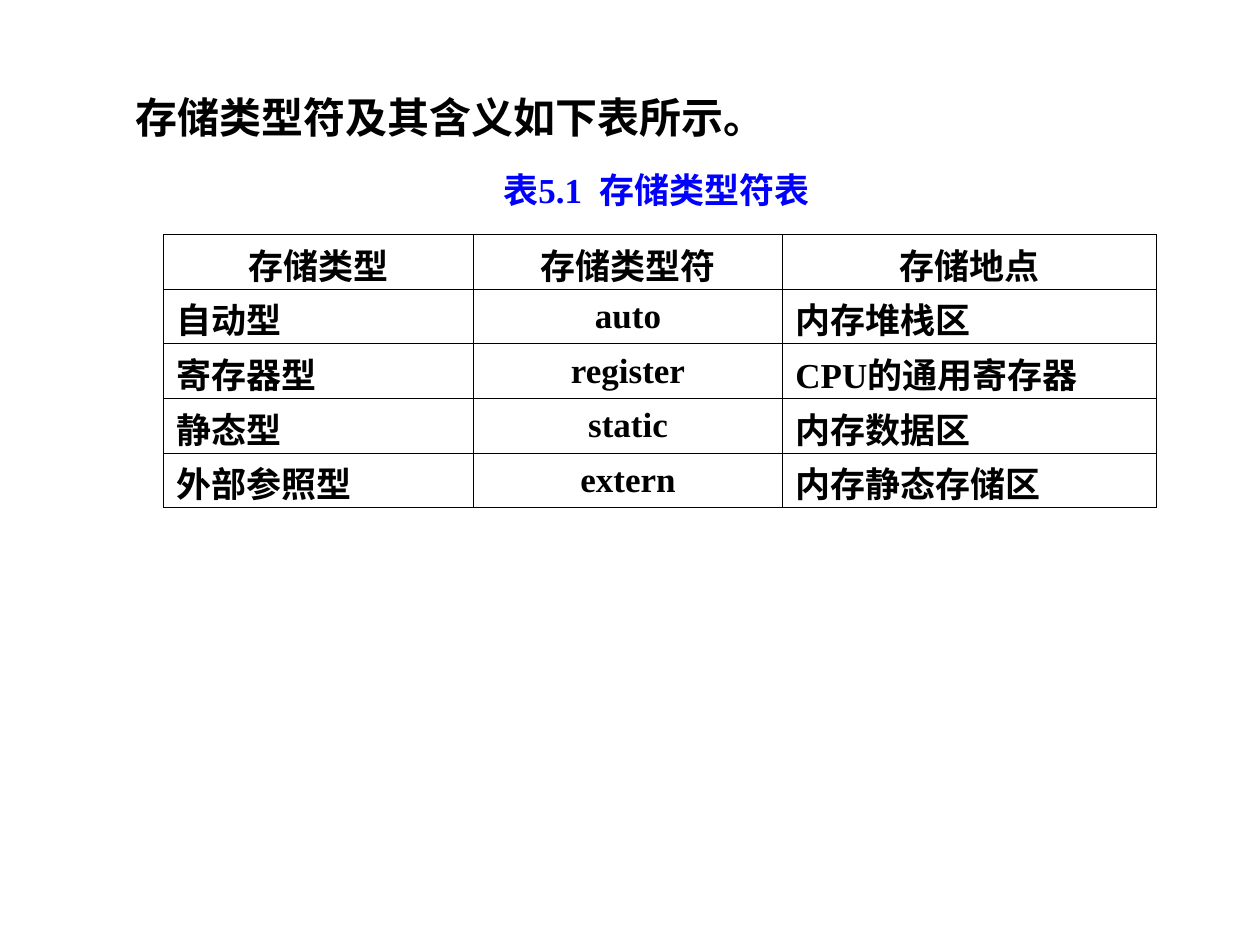
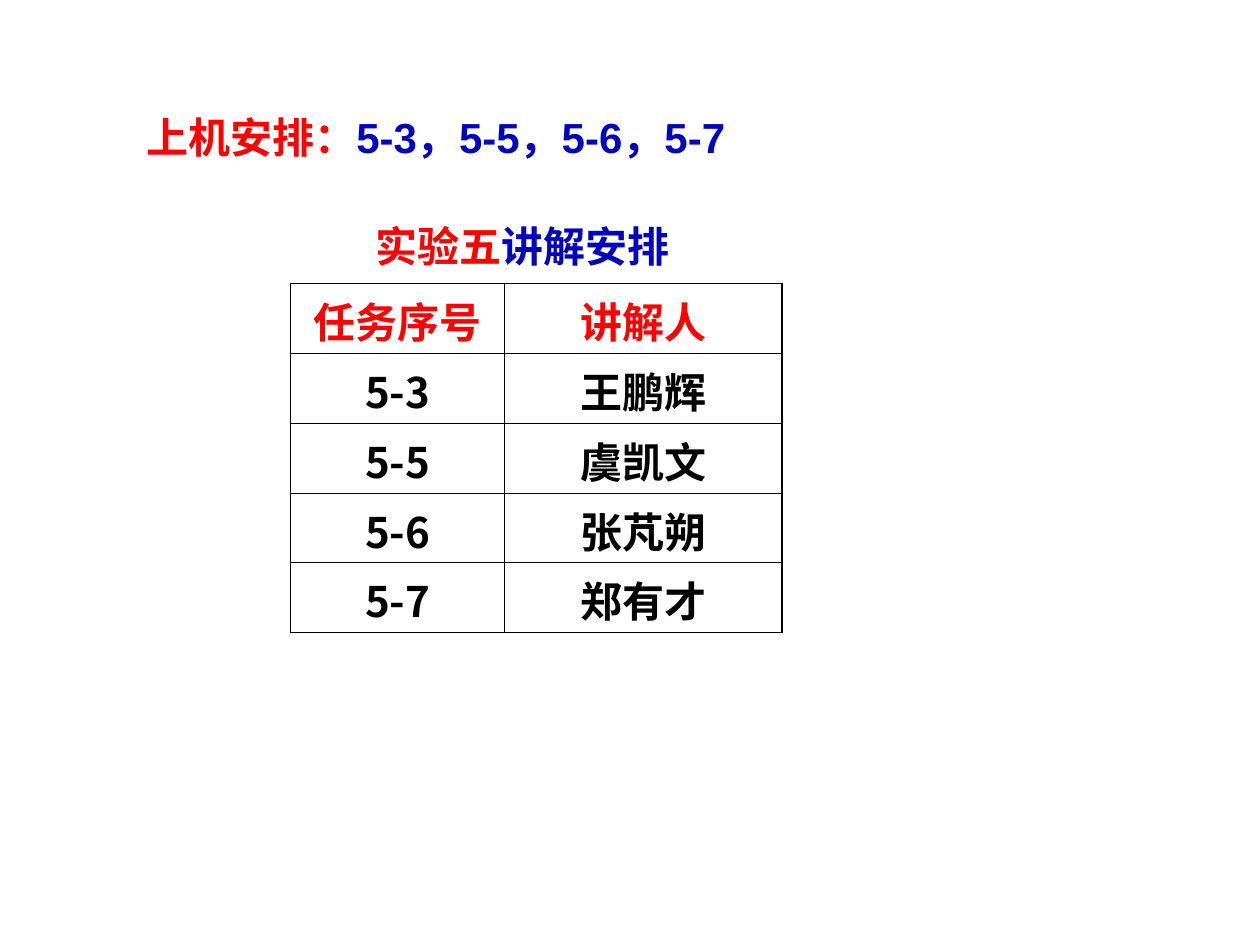
from dataclasses import dataclass

from lxml.etree import SubElement
from pptx import Presentation
from pptx.dml.color import RGBColor as RGB
from pptx.enum.text import MSO_ANCHOR as Anchor, MSO_AUTO_SIZE as AutoSize, PP_ALIGN as Align
from pptx.oxml.ns import qn
from pptx.util import Pt


@dataclass(frozen=True)
class Theme:
    black: str = "000000"
    red: str = "FF0000"
    blue: str = "0000FF"
    navy: str = "0404BC"
    sans: str = "Arial"
    serif: str = "Times New Roman"
    cjk: str = "Noto Sans CJK SC"
    large: float = 24
    small: float = 20
    thin: float = 0.45
    thick: float = 1.08


T = Theme()


@dataclass(frozen=True)
class Style:
    font: str
    size: float


@dataclass(frozen=True)
class Box:
    left: float
    top: float
    width: float
    height: float


@dataclass(frozen=True)
class Part:
    text: str
    color: str


@dataclass(frozen=True)
class Grid:
    left: float
    top: float
    widths: tuple[float, ...]
    row_height: float
    rows: tuple[tuple[str, ...], ...]
    aligns: tuple[Align, ...]
    style: Style
    header_color: str
    outline: float
    tall_margins: tuple[float, float]
    space_before: float = 0


HEADING = Style(T.sans, T.large)
CAPTION = Style(T.serif, T.small)
SCHEDULE = Style(T.cjk, T.large)


def write(p, parts: tuple[Part, ...], style: Style, align: Align = Align.LEFT) -> None:
    p.alignment = align
    p.font.name, p.font.size, p.font.bold = style.font, Pt(style.size), True
    for part in parts:
        r = p.add_run()
        r.text = part.text
        r.font.color.rgb = RGB.from_string(part.color)


def set_text(sp, box: Box, parts: tuple[Part, ...], style: Style,
             align: Align = Align.LEFT, anchor: Anchor = Anchor.TOP) -> None:
    sp.left, sp.top, sp.width, sp.height = map(Pt, (box.left, box.top, box.width, box.height))
    tf = sp.text_frame
    tf.word_wrap, tf.auto_size, tf.vertical_anchor = True, AutoSize.NONE, anchor
    write(tf.paragraphs[0], parts, style, align)


def add_caption(s, box: Box, parts: tuple[Part, ...], style: Style,
                align: Align = Align.LEFT, anchor: Anchor = Anchor.TOP) -> None:
    set_text(s.shapes.add_textbox(0, 0, 0, 0), box, parts, style, align, anchor)


def set_border(cell, side: str, width: float) -> None:
    line = SubElement(cell._tc.get_or_add_tcPr(), qn(f"a:ln{side}"), w=str(int(Pt(width))))
    fill = SubElement(line, qn("a:solidFill"))
    SubElement(fill, qn("a:srgbClr"), val=T.black)


def add_grid(s, grid: Grid) -> None:
    last_row, last_col = len(grid.rows) - 1, len(grid.widths) - 1
    frame = s.shapes.add_table(last_row + 1, last_col + 1, Pt(grid.left), Pt(grid.top),
                               Pt(sum(grid.widths)), Pt(grid.row_height * len(grid.rows)))
    table = frame.table
    table.first_row = table.horz_banding = False
    for column, width in zip(table.columns, grid.widths):
        column.width = Pt(width)
    for i, texts in enumerate(grid.rows):
        table.rows[i].height = Pt(grid.row_height)
        for j, text in enumerate(texts):
            cell = table.cell(i, j)
            cell.vertical_anchor = Anchor.MIDDLE
            if grid.style.font == T.cjk or not text.isascii():
                cell.margin_top, cell.margin_bottom = map(Pt, grid.tall_margins)
            outer = {"L": j == 0, "R": j == last_col, "T": i == 0, "B": i == last_row}
            for side, is_outer in outer.items():
                set_border(cell, side, grid.outline if is_outer else T.thin)
            cell.fill.background()
            p = cell.text_frame.paragraphs[0]
            p.space_before = Pt(grid.space_before)
            color = T.black if i else grid.header_color
            write(p, (Part(text, color),), grid.style, grid.aligns[j] if i else Align.CENTER)


def add_slide(prs, title_box: Box, title: tuple[Part, ...]):
    s = prs.slides.add_slide(prs.slide_layouts[5])
    set_text(s.shapes.title, title_box, title, HEADING)
    return s


def storage_slide(prs) -> None:
    s = add_slide(prs, Box(70.4, 48.5, 520, 36), (Part("存储类型符及其含义如下表所示。", T.black),))
    add_caption(s, Box(280.5, 80.5, 190, 55.5), (Part("表5.1  存储类型符表", T.blue),),
                CAPTION, anchor=Anchor.MIDDLE)
    add_grid(s, Grid(
        93.5, 134, (177, 176.8, 213.6), 31.2,
        (("存储类型", "存储类型符", "存储地点"),
         ("自动型", "auto", "内存堆栈区"),
         ("寄存器型", "register", "CPU的通用寄存器"),
         ("静态型", "static", "内存数据区"),
         ("外部参照型", "extern", "内存静态存储区")),
        (Align.LEFT, Align.CENTER, Align.LEFT), CAPTION, T.black, T.thin, (2.2, 0)))


def schedule_slide(prs) -> None:
    s = add_slide(prs, Box(76.4, 60, 448, 36),
                  (Part("上机安排：", T.red), Part("5-3，5-5，5-6，5-7", T.navy)))
    add_caption(s, Box(74.5, 122.5, 448, 36),
                (Part("实验五", T.red), Part("讲解安排", T.navy)), HEADING, Align.CENTER)
    add_grid(s, Grid(
        166, 162, (122.4, 158.4), 39.9,
        (("任务序号", "讲解人"),
         ("5-3", "王鹏辉"),
         ("5-5", "虞凯文"),
         ("5-6", "张芃朔"),
         ("5-7", "郑有才")),
        (Align.CENTER, Align.CENTER), SCHEDULE, T.red, T.thick, (3.6, 1.4), 6))


def main() -> None:
    prs = Presentation()
    prs.slide_width, prs.slide_height = Pt(720), Pt(540)
    storage_slide(prs)
    schedule_slide(prs)
    prs.save("out.pptx")


if __name__ == "__main__":
    main()
